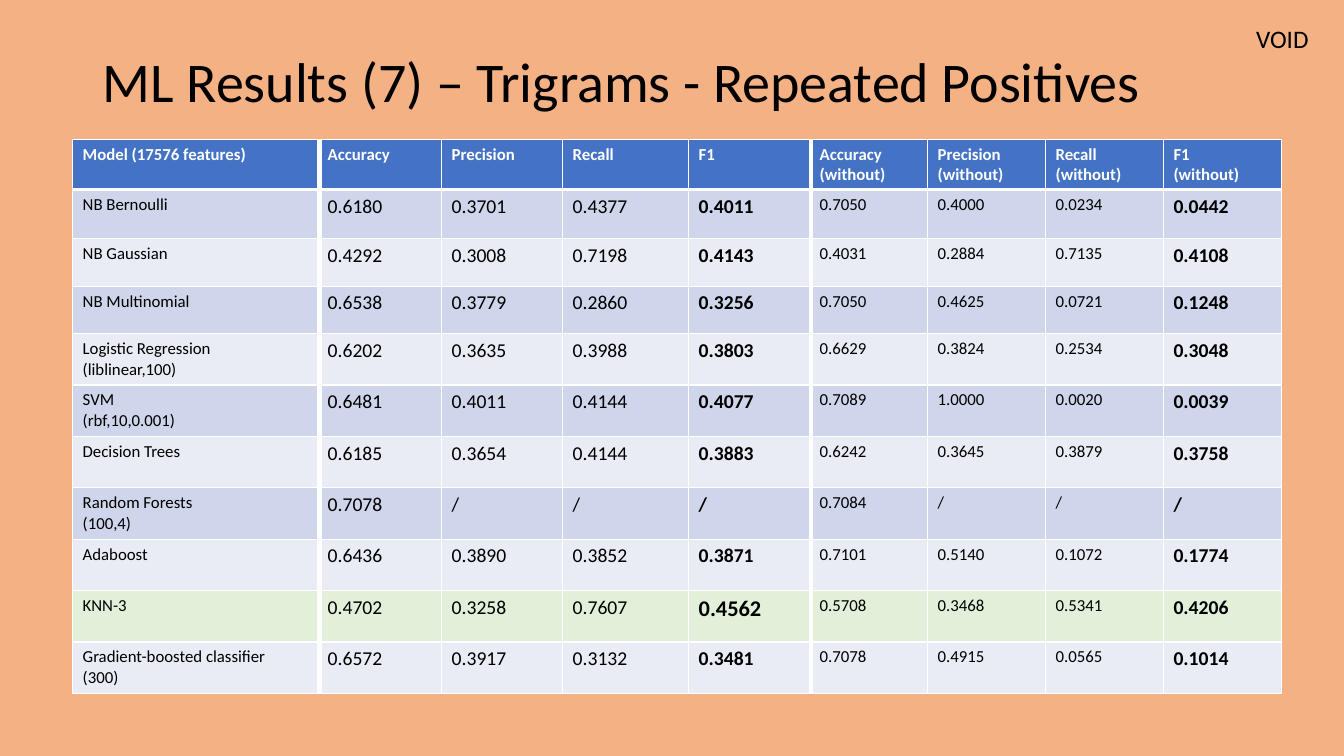
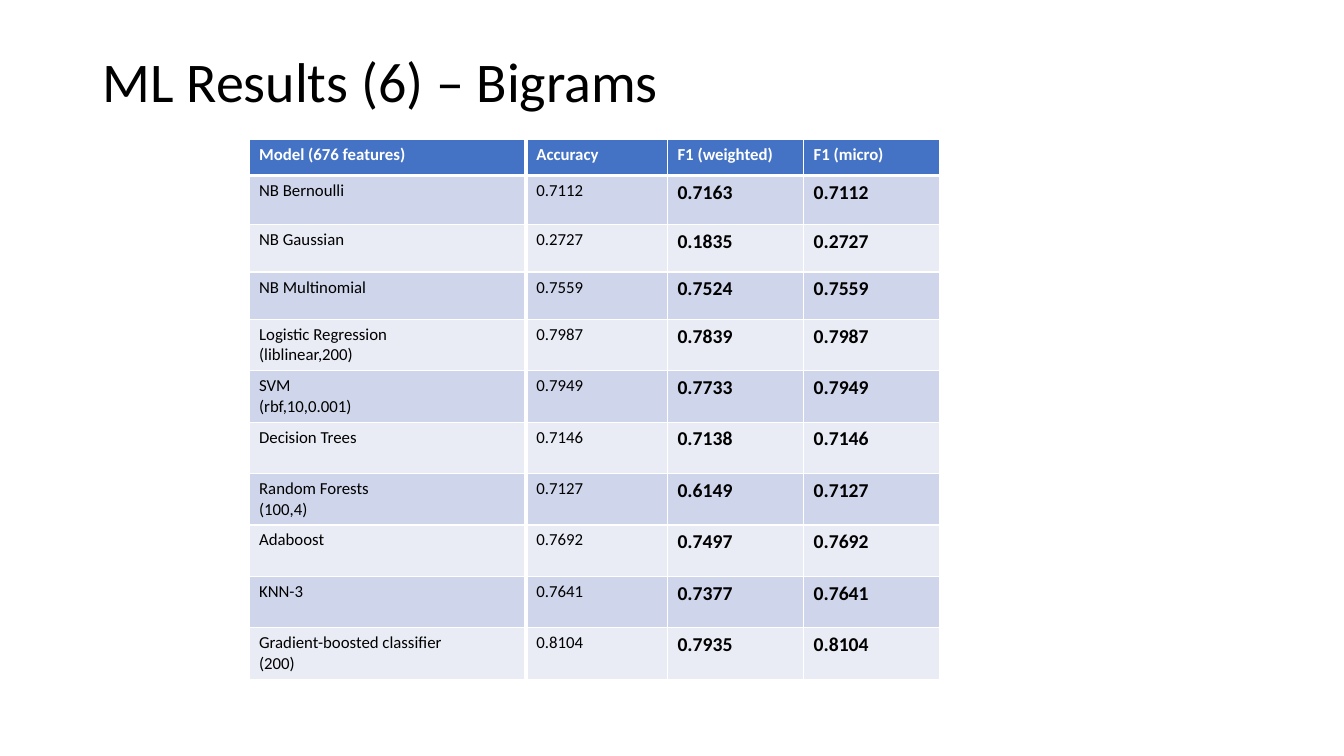
from dataclasses import dataclass

from lxml import etree
from pptx import Presentation, util as u
from pptx.dml.color import RGBColor
from pptx.enum import shapes, text
from pptx.oxml.ns import qn


# Colours and type sizes
@dataclass(frozen=True)
class Theme:
    font: str = "Calibri"
    black: str = "000000"
    white: str = "FFFFFF"
    peach: str = "F4B183"
    header: str = "4472C4"
    bands: tuple = ("CFD5EA", "E9EBF5")
    highlight: str = "E2F0D9"
    title_pt: int = 40
    tag_pt: int = 18
    best_pt: int = 16
    score_pt: int = 14
    label_pt: int = 12
    thin: int = 1
    thick: int = 3


def rgb(value):
    return RGBColor.from_string(value)


class Deck:
    """Holds the style and the slide being built."""

    def __init__(self, theme):
        self.theme = theme
        self.prs = Presentation()
        self.prs.slide_width = u.Inches(13.33)
        self.prs.slide_height = u.Inches(7.5)
        self.s = None

    def slide(self, title, background):
        self.s = self.prs.slides.add_slide(self.prs.slide_layouts[6])
        self.s.background.fill.solid()
        self.s.background.fill.fore_color.rgb = rgb(background)
        tf = self.text(title, 0.92, 0.11, 11.5, 1.45, self.theme.title_pt)
        tf.vertical_anchor = text.MSO_ANCHOR.MIDDLE
        tf.paragraphs[0].line_spacing = 0.9

    def format(self, tf, size, color, bold=False):
        for p in tf.paragraphs:
            for r in p.runs:
                r.font.name = self.theme.font
                r.font.size = u.Pt(size)
                r.font.bold = bold
                r.font.color.rgb = rgb(color)

    def text(self, content, left, top, width, height, size, wrap=True):
        box = self.s.shapes.add_textbox(*map(u.Inches, (left, top, width, height)))
        tf = box.text_frame
        tf.word_wrap = wrap
        tf.text = content
        self.format(tf, size, self.theme.black)
        return tf

    def tag(self, content):
        tf = self.text(content, 12.36, 0.18, 0.73, 0.4, self.theme.tag_pt, wrap=False)
        tf.auto_size = text.MSO_AUTO_SIZE.SHAPE_TO_FIT_TEXT

    def rule(self, x, top, height=5.5):
        line = self.s.shapes.add_connector(
            shapes.MSO_CONNECTOR.STRAIGHT,
            *map(u.Inches, (x, top, x, top + height)))
        line.line.color.rgb = rgb(self.theme.white)
        line.line.width = u.Pt(self.theme.thick)
        etree.SubElement(line._element.spPr, qn("a:effectLst"))

    def cell(self, cell, content, fill, size, color, bold, bottom):
        # Borders come before the fill in the cell properties
        tc_pr = cell._tc.get_or_add_tcPr()
        for side in "LRTB":
            width = bottom if side == "B" else self.theme.thin
            ln = etree.SubElement(tc_pr, qn(f"a:ln{side}"), w=str(u.Pt(width)))
            solid = etree.SubElement(ln, qn("a:solidFill"))
            etree.SubElement(solid, qn("a:srgbClr"), val=self.theme.white)
        cell.fill.solid()
        cell.fill.fore_color.rgb = rgb(fill)
        cell.text_frame.text = content
        self.format(cell.text_frame, size, color, bold)

    def table(self, left, widths, heights, header, rows, styles,
              highlight=None, best=None):
        """styles gives (size, bold) by column; best is a (row, column) pair."""
        t = self.theme
        frame = self.s.shapes.add_table(
            len(heights), len(widths),
            *map(u.Inches, (left, 1.38, sum(widths), sum(heights))))
        table = frame.table
        table.horz_banding = False
        for column, width in zip(table.columns, widths):
            column.width = u.Inches(width)
        for row, height in zip(table.rows, heights):
            row.height = u.Inches(height)
        for j, name in enumerate(header):
            self.cell(table.cell(0, j), name, t.header, t.label_pt, t.white,
                      True, t.thick)
        for i, values in enumerate(rows):
            fill = t.highlight if i == highlight else t.bands[i % 2]
            # The thick line under the header is the first row's top edge
            for j, (value, (size, bold)) in enumerate(zip(values, styles)):
                size = t.best_pt if (i, j) == best else size
                self.cell(table.cell(i + 1, j), value, fill, size, t.black,
                          bold, t.thin)
        for j in range(len(header)):
            top = table.cell(1, j)._tc.tcPr.find(qn("a:lnT"))
            top.set("w", str(u.Pt(t.thick)))


# Content
BODY_HEIGHTS = [0.49] + [0.47] * 2 + [0.51] * 7
KNN = 8

TRIGRAM_SCORES = """
0.6180 0.3701 0.4377 0.4011 0.7050 0.4000 0.0234 0.0442
0.4292 0.3008 0.7198 0.4143 0.4031 0.2884 0.7135 0.4108
0.6538 0.3779 0.2860 0.3256 0.7050 0.4625 0.0721 0.1248
0.6202 0.3635 0.3988 0.3803 0.6629 0.3824 0.2534 0.3048
0.6481 0.4011 0.4144 0.4077 0.7089 1.0000 0.0020 0.0039
0.6185 0.3654 0.4144 0.3883 0.6242 0.3645 0.3879 0.3758
0.7078 / / / 0.7084 / / /
0.6436 0.3890 0.3852 0.3871 0.7101 0.5140 0.1072 0.1774
0.4702 0.3258 0.7607 0.4562 0.5708 0.3468 0.5341 0.4206
0.6572 0.3917 0.3132 0.3481 0.7078 0.4915 0.0565 0.1014
"""

BIGRAM_SCORES = """
0.7112 0.7163 0.7112
0.2727 0.1835 0.2727
0.7559 0.7524 0.7559
0.7987 0.7839 0.7987
0.7949 0.7733 0.7949
0.7146 0.7138 0.7146
0.7127 0.6149 0.7127
0.7692 0.7497 0.7692
0.7641 0.7377 0.7641
0.8104 0.7935 0.8104
"""


def model_rows(scores, iterations, boosting_rounds):
    models = ["NB Bernoulli", "NB Gaussian", "NB Multinomial",
              f"Logistic Regression\n(liblinear,{iterations})",
              "SVM\n(rbf,10,0.001)", "Decision Trees",
              "Random Forests\n(100,4)", "Adaboost", "KNN-3",
              f"Gradient-boosted classifier\n({boosting_rounds})"]
    lines = scores.strip().splitlines()
    return [[model] + line.split() for model, line in zip(models, lines)]


def main():
    theme = Theme()
    deck = Deck(theme)
    label, score, f1 = ((theme.label_pt, False), (theme.score_pt, False),
                        (theme.score_pt, True))

    # Trigrams
    deck.slide("ML Results (7) – Trigrams - Repeated Positives", theme.peach)
    deck.table(
        0.72, [2.43, 1.23, 1.2, 1.25, 1.2] + [1.17] * 4, [0.5] + BODY_HEIGHTS,
        ["Model (17576 features)", "Accuracy", "Precision", "Recall", "F1",
         "Accuracy (without)", "Precision (without)", "Recall (without)",
         "F1\n(without)"],
        model_rows(TRIGRAM_SCORES, 100, 300),
        [label] + [score] * 3 + [f1] + [label] * 3 + [f1],
        highlight=KNN, best=(KNN, 4))
    for x in (8.04, 3.17):
        deck.rule(x, 1.38)
    deck.tag("VOID")

    # Bigrams
    deck.slide("ML Results (6) – Bigrams", theme.white)
    deck.table(
        2.47, [2.75, 1.4, 1.35, 1.35], [0.36] + BODY_HEIGHTS,
        ["Model (676 features)", "Accuracy", "F1 (weighted)", "F1 (micro)"],
        model_rows(BIGRAM_SCORES, 200, 200),
        [label] * 2 + [f1] * 2)
    for x, top in ((9.33, 1.38), (5.22, 1.24)):
        deck.rule(x, top)

    deck.prs.save("out.pptx")


if __name__ == "__main__":
    main()
